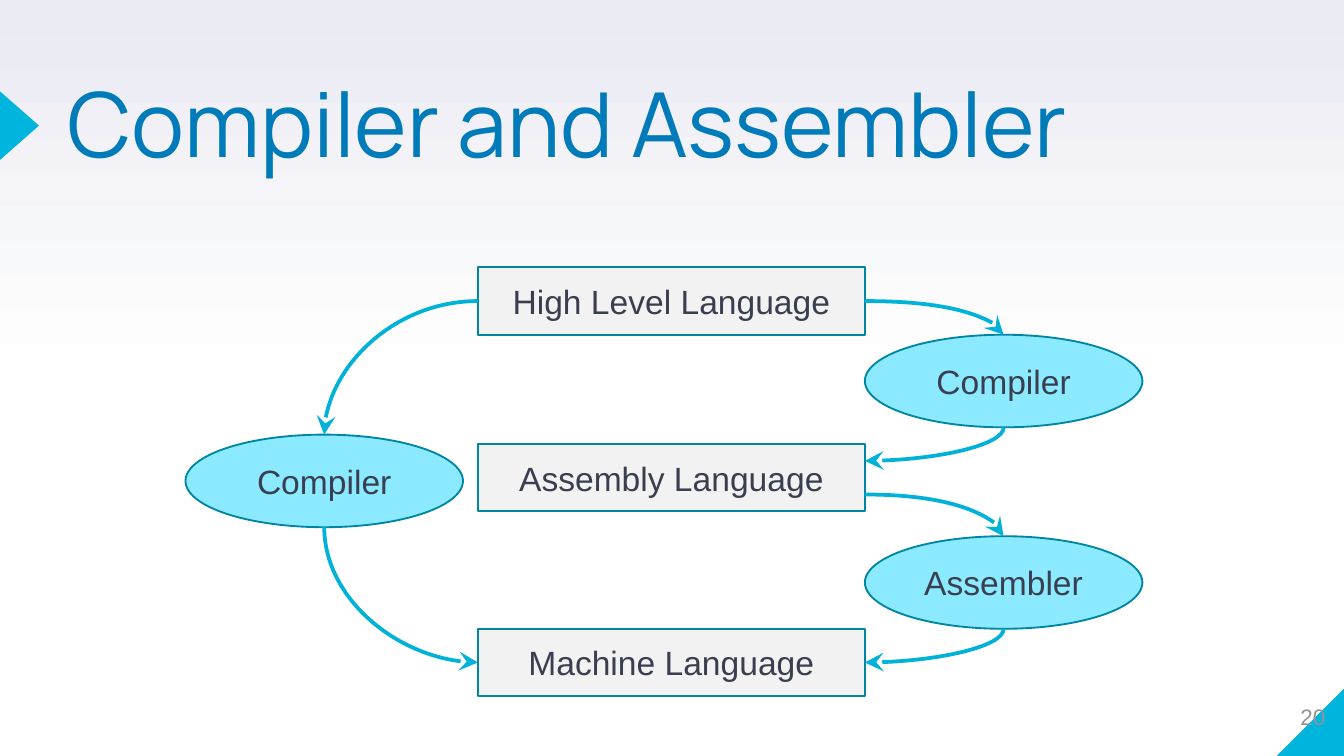
import pptx
import pptx.util
import pptx.dml.color
import pptx.enum.shapes
import pptx.enum.text
import pptx.oxml.ns
import lxml.etree

RGB = pptx.dml.color.RGBColor
Inches, Pt = pptx.util.Inches, pptx.util.Pt
SHAPE = pptx.enum.shapes.MSO_SHAPE
ALIGN = pptx.enum.text.PP_ALIGN
ANCHOR = pptx.enum.text.MSO_ANCHOR
qn = pptx.oxml.ns.qn

WHITE = RGB(0xFF, 0xFF, 0xFF)
MIST = RGB(0xE9, 0xEA, 0xF2)
CYAN = RGB(0x00, 0xB5, 0xDD)
BLUE = RGB(0x00, 0x7B, 0xB9)
GRAY = RGB(0x91, 0x93, 0x98)
PALE = RGB(0xF2, 0xF2, 0xF2)
AQUA = RGB(0x8B, 0xEA, 0xFF)
TEAL = RGB(0x00, 0x86, 0xA3)
INK = RGB(0x3A, 0x3F, 0x50)
ARROW = RGB(0x00, 0xB1, 0xD8)

WIDE = 10
HIGH = WIDE * 9 / 16


def style(para, size, color, face="Arial", align=ALIGN.CENTER):
    para.alignment = align
    font = para.font
    font.size, font.name, font.color.rgb = Pt(size), face, color


def add_form(slide, kind, box, fill, edge=None):
    form = slide.shapes.add_shape(kind, *map(Inches, box))
    form.shadow.inherit = False
    form.fill.solid()
    form.fill.fore_color.rgb = fill
    if edge is None:
        form.line.fill.background()
    else:
        form.line.color.rgb = edge
        form.line.width = Pt(1)
    return form


def add_node(slide, kind, box, text, fill):
    node = add_form(slide, kind, box, fill, TEAL)
    frame = node.text_frame
    frame.vertical_anchor = ANCHOR.MIDDLE
    frame.text = text
    style(frame.paragraphs[0], 18, INK)


def add_curve(slide, start, end, drop=False):
    (x1, y1), (x2, y2) = start, end
    turn = 0
    if drop:
        midx, midy = (x1 + x2) / 2, (y1 + y2) / 2
        side = 1 if x2 < x1 else -1
        halfw, halfh = side * (y2 - y1) / 2, abs(x2 - x1) / 2
        x1, x2 = midx - halfw, midx + halfw
        y1, y2 = midy - halfh, midy + halfh
        turn = 90 if side > 0 else 270
    curve = slide.shapes.add_connector(
        pptx.enum.shapes.MSO_CONNECTOR.CURVE, *map(Inches, (x1, y1, x2, y2)))
    curve.line.color.rgb = ARROW
    curve.line.width = Pt(2)
    props = curve.element.spPr
    props.find(qn("a:prstGeom")).set("prst", "curvedConnector2")
    props.find(qn("a:xfrm")).set("rot", str(turn * 60000))
    lxml.etree.SubElement(props.find(qn("a:ln")), qn("a:tailEnd"),
                          type="stealth", w="lg", len="lg")
    lxml.etree.SubElement(props, qn("a:effectLst"))


def draw_back(slide):
    fill = slide.background.fill
    fill.gradient()
    fill.gradient_angle = 90
    for stop, place, color in zip(fill.gradient_stops, (0.5, 1), (WHITE, MIST)):
        stop.position = place
        stop.color.rgb = color


def draw_title(slide, box, text):
    left, top, width, height = box
    mark = add_form(slide, SHAPE.ISOSCELES_TRIANGLE,
                    (left - 0.61, top + 0.13, 0.51, 0.29), CYAN)
    mark.rotation = 90
    title = slide.shapes.title
    title.left, title.top, title.width, title.height = map(Inches, box)
    frame = title.text_frame
    frame.text = text
    frame.auto_size = pptx.enum.text.MSO_AUTO_SIZE.NONE
    frame.vertical_anchor = ANCHOR.TOP
    frame.margin_left = frame.margin_right = 0
    frame.margin_top = frame.margin_bottom = 0
    para = frame.paragraphs[0]
    para.line_spacing = 0.8
    style(para, 48, BLUE, "Manrope", ALIGN.LEFT)


def draw_corner(slide, box, text):
    left, top, width, height = box
    wedge = add_form(slide, SHAPE.RIGHT_TRIANGLE, box, CYAN)
    wedge.element.spPr.find(qn("a:xfrm")).set("flipH", "1")
    label = slide.shapes.add_textbox(
        *map(Inches, (left - 0.04, top - 0.04, width - 0.01, height)))
    frame = label.text_frame
    frame.word_wrap = True
    frame.vertical_anchor = ANCHOR.MIDDLE
    frame.text = text
    style(frame.paragraphs[0], 12, GRAY, align=ALIGN.RIGHT)


def draw_flow(slide, box):
    left, top, width, height = box
    col, row = width / 100, height / 100
    barw, barh = 40.45 * col, 15.7 * row
    ovalw, ovalh = 29 * col, 21.6 * row
    right = left + width - ovalw
    barx = right - barw
    high, mid, low = top, top + 41.2 * row, top + height - barh

    for y, text in ((high, "High Level Language"), (mid, "Assembly Language"),
                    (low, "Machine Language")):
        add_node(slide, SHAPE.RECTANGLE, (barx, y, barw, barh), text, PALE)

    first, second, side = high + barh, low - ovalh, top + 39 * row
    for x, y, text in ((right, first, "Compiler"), (right, second, "Assembler"),
                       (left, side, "Compiler")):
        add_node(slide, SHAPE.OVAL, (x, y, ovalw, ovalh), text, AQUA)

    near, far = left + ovalw / 2, right + ovalw / 2
    head, foot = high + barh / 2, low + barh / 2
    add_curve(slide, (right, head), (far, first))
    add_curve(slide, (right, mid + 0.75 * barh), (far, second))
    add_curve(slide, (barx, head), (near, side))
    add_curve(slide, (near, side + ovalh), (barx, foot), drop=True)
    add_curve(slide, (far, second + ovalh), (right, foot), drop=True)
    add_curve(slide, (far, first + ovalh), (right, mid + barh / 4), drop=True)


def main():
    deck = pptx.Presentation()
    deck.slide_width, deck.slide_height = Inches(WIDE), Inches(HIGH)
    slide = deck.slides.add_slide(deck.slide_layouts[5])
    draw_back(slide)
    draw_corner(slide, (WIDE - 0.5, HIGH - 0.51, 0.51, 0.51), "20")
    draw_title(slide, (0.05 * WIDE, 0.66, 0.9 * WIDE, 0.21 * HIGH),
               "Compiler and Assembler")
    draw_flow(slide, (1.38, 1.99, 7.12, 3.19))
    deck.save("out.pptx")


if __name__ == "__main__":
    main()
